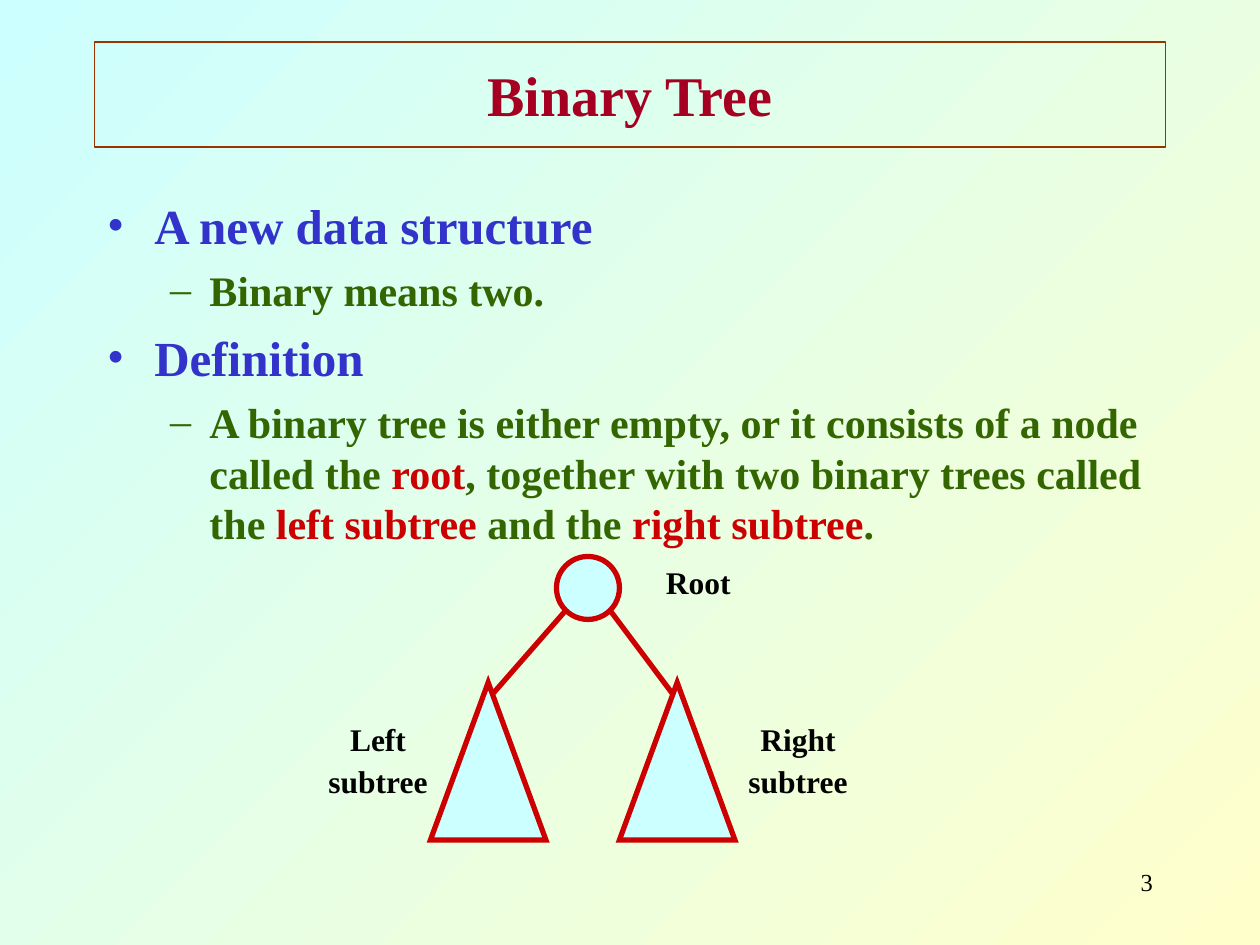
import pptx
import pptx.util
import pptx.dml.color
import pptx.enum.shapes
import pptx.enum.text
import pptx.oxml.ns
import lxml.etree

PX = 9525  # EMU per px, 96 px to the inch
THEME = {
    "font": "Times New Roman",
    "title": "A50021", "frame": "993300", "topic": "3333CC", "detail": "336600",
    "accent": "CC0000", "node": "CCFFFF", "label": "000000",
    "background": ("FFFFCC", "CCFFFF"),
    "title_size": 32, "topic_size": 28, "detail_size": 24,
    "label_size": 18, "number_size": 14,
}
ALIGN = pptx.enum.text.PP_ALIGN
ANCHOR = pptx.enum.text.MSO_ANCHOR
AUTO_SIZE = pptx.enum.text.MSO_AUTO_SIZE
SHAPE = pptx.enum.shapes.MSO_SHAPE


def color(name):
    return pptx.dml.color.RGBColor.from_string(THEME.get(name, name))


def add_run(paragraph, text, color_name, size_name, bold=True):
    run = paragraph.add_run()
    run.text = text
    font_format = {"name": THEME["font"], "size": pptx.util.Pt(THEME[size_name]), "bold": bold}
    for attribute, value in font_format.items():
        setattr(run.font, attribute, value)
    run.font.color.rgb = color(color_name)


presentation = pptx.Presentation()
presentation.slide_width = 960 * PX
presentation.slide_height = 720 * PX
slide = presentation.slides.add_slide(presentation.slide_layouts[1])

# Background gradient, from bottom right to top left
background = slide.background.fill
background.gradient()
background.gradient_angle = 135
for stop, value, position in zip(background.gradient_stops, THEME["background"], (0, 1)):
    stop.color.rgb = color(value)
    stop.position = position

# Title and body placeholders
title = slide.shapes.title
body = slide.placeholders[1]
for placeholder, box, anchor in (
    (title, (72, 32, 816, 80), ANCHOR.MIDDLE),
    (body, (72, 144, 816, 496), ANCHOR.TOP),
):
    for attribute, value in zip(("left", "top", "width", "height"), box):
        setattr(placeholder, attribute, value * PX)
    frame_format = {"word_wrap": True, "auto_size": AUTO_SIZE.NONE, "vertical_anchor": anchor}
    for attribute, value in frame_format.items():
        setattr(placeholder.text_frame, attribute, value)

title.line.color.rgb = color("frame")
title.line.width = pptx.util.Pt(0.75)
title_paragraph = title.text_frame.paragraphs[0]
title_paragraph.alignment = ALIGN.CENTER
add_run(title_paragraph, "Binary Tree", "title", "title_size")

# Bulleted list: level and runs of each paragraph
levels = (
    {"color": "topic", "size": "topic_size", "bullet": "•", "margin": 36, "hang": 36, "before": 7},
    {"color": "detail", "size": "detail_size", "bullet": "–", "margin": 78, "hang": 30, "before": 6},
)
bullets = (
    (0, [("A new data structure", "topic")]),
    (1, [("Binary means two.", "detail")]),
    (0, [("Definition", "topic")]),
    (1, [
        ("A binary tree is either empty, or it consists of a node called the ", "detail"),
        ("root", "accent"),
        (", together with two binary trees called the ", "detail"),
        ("left subtree", "accent"),
        (" and the ", "detail"),
        ("right subtree", "accent"),
        (".", "detail"),
    ]),
)
for index, (level, runs) in enumerate(bullets):
    style = levels[level]
    paragraph = body.text_frame.add_paragraph() if index else body.text_frame.paragraphs[0]
    paragraph_format = {
        "level": level, "alignment": ALIGN.LEFT,
        "space_before": pptx.util.Pt(style["before"]),
    }
    for attribute, value in paragraph_format.items():
        setattr(paragraph, attribute, value)
    for text, color_name in runs:
        add_run(paragraph, text, color_name, style["size"])
    properties = paragraph._p.get_or_add_pPr()
    properties.set("marL", str(style["margin"] * PX))
    properties.set("indent", str(-style["hang"] * PX))
    bullet_color = lxml.etree.SubElement(properties, pptx.oxml.ns.qn("a:buClr"))
    lxml.etree.SubElement(bullet_color, pptx.oxml.ns.qn("a:srgbClr"), val=THEME[style["color"]])
    lxml.etree.SubElement(properties, pptx.oxml.ns.qn("a:buFont"), typeface=THEME["font"])
    lxml.etree.SubElement(properties, pptx.oxml.ns.qn("a:buChar"), char=style["bullet"])

# Root node and the two subtrees, with sharp corners
for kind, box in (
    (SHAPE.OVAL, (424, 424, 48, 48)),
    (SHAPE.ISOSCELES_TRIANGLE, (328, 520, 88, 120)),
    (SHAPE.ISOSCELES_TRIANGLE, (472, 520, 88, 120)),
):
    shape = slide.shapes.add_shape(kind, *(value * PX for value in box))
    shape.shadow.inherit = False
    shape.fill.solid()
    shape.fill.fore_color.rgb = color("node")
    shape.line.color.rgb = color("accent")
    shape.line.width = pptx.util.Pt(3)
    outline = shape._element.spPr.find(pptx.oxml.ns.qn("a:ln"))
    lxml.etree.SubElement(outline, pptx.oxml.ns.qn("a:miter"), lim="800000")

# Branches from the subtrees to the root
for ends in ((376, 528, 432, 464), (512, 528, 464, 464)):
    branch = slide.shapes.add_connector(
        pptx.enum.shapes.MSO_CONNECTOR.STRAIGHT, *(value * PX for value in ends))
    branch.line.color.rgb = color("accent")
    branch.line.width = pptx.util.Pt(3)
    lxml.etree.SubElement(branch._element.spPr, pptx.oxml.ns.qn("a:effectLst"))

# Tree labels and the slide number
for lines, box, size_name, bold, auto_size, alignment, before in (
    (["Root"], (488, 424, 88, 38), "label_size", True,
     AUTO_SIZE.SHAPE_TO_FIT_TEXT, ALIGN.CENTER, 11.2),
    (["Left", "subtree"], (232, 544, 112, 70), "label_size", True,
     AUTO_SIZE.SHAPE_TO_FIT_TEXT, ALIGN.CENTER, 2.2),
    (["Right", "subtree"], (552, 544, 112, 70), "label_size", True,
     AUTO_SIZE.SHAPE_TO_FIT_TEXT, ALIGN.CENTER, 2.2),
    (["3"], (688, 656, 200, 48), "number_size", False, AUTO_SIZE.NONE, ALIGN.RIGHT, 0),
):
    text_frame = slide.shapes.add_textbox(*(value * PX for value in box)).text_frame
    text_frame.word_wrap = True
    text_frame.auto_size = auto_size
    for index, text in enumerate(lines):
        paragraph = text_frame.add_paragraph() if index else text_frame.paragraphs[0]
        paragraph.alignment = alignment
        paragraph.space_before = pptx.util.Pt(before)
        add_run(paragraph, text, "label", size_name, bold)

presentation.save("out.pptx")
